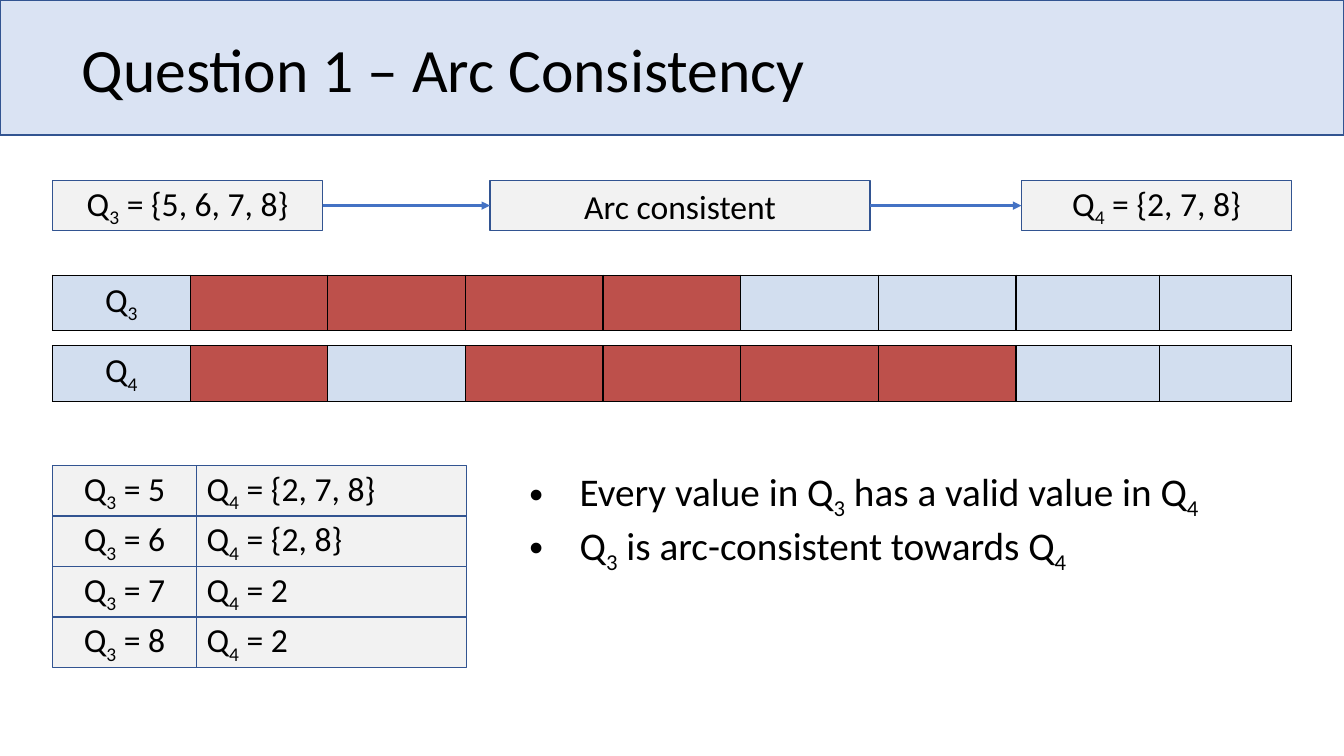
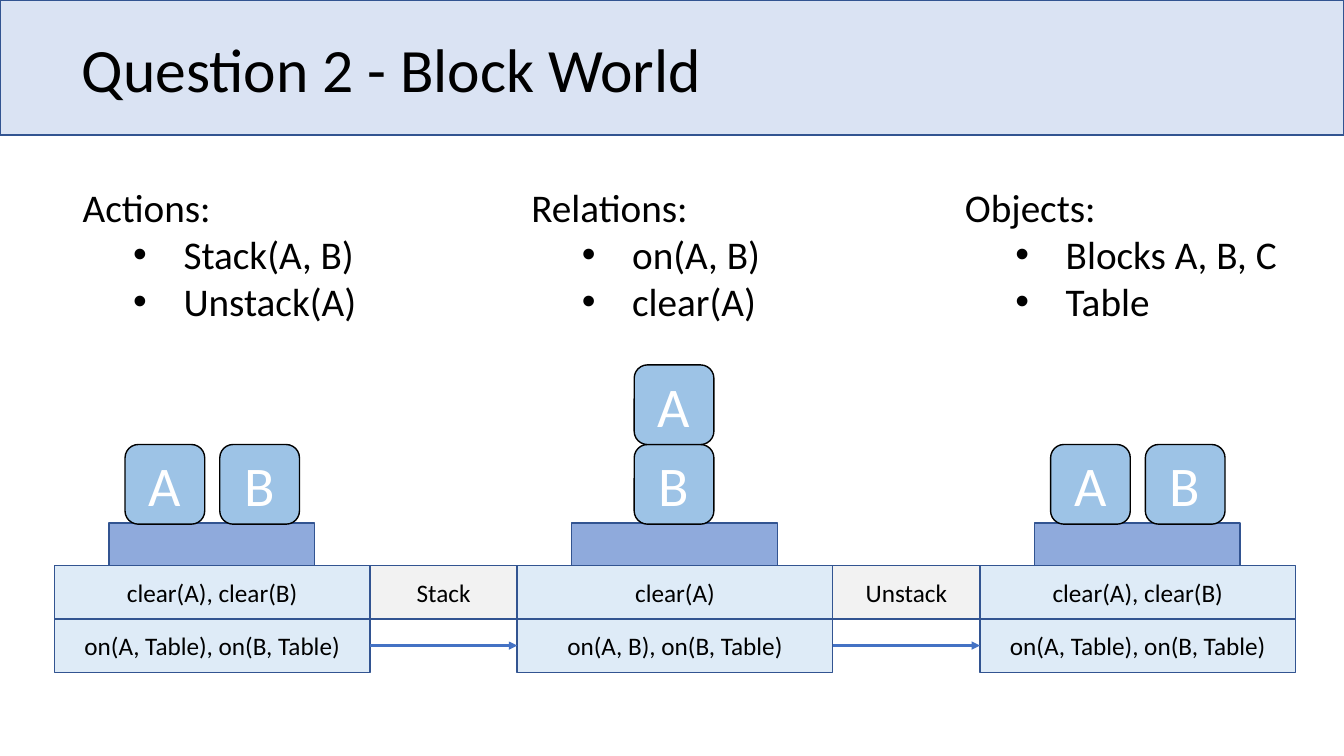
from lxml import etree
from pptx import Presentation
from pptx.dml.color import RGBColor
from pptx.enum.shapes import MSO_CONNECTOR, MSO_SHAPE
from pptx.enum.text import MSO_ANCHOR as ANCHOR, MSO_AUTO_SIZE, PP_ALIGN as ALIGN
from pptx.oxml.ns import qn
from pptx.util import Pt

SCALE = 9144
WIDTH, HEIGHT = 1333, 750
FONT = "Calibri"
BLACK = RGBColor(0x00, 0x00, 0x00)
WHITE = RGBColor(0xFF, 0xFF, 0xFF)
BAND = RGBColor(0xDA, 0xE3, 0xF3)
OUTLINE = RGBColor(0x32, 0x54, 0x91)
ARROW = RGBColor(0x44, 0x72, 0xC4)
GRAY = RGBColor(0xF2, 0xF2, 0xF2)
ALLOWED = RGBColor(0xD2, 0xDE, 0xEF)
REMOVED = RGBColor(0xBD, 0x50, 0x4B)
FACT = RGBColor(0xDE, 0xEB, 0xF7)
TABLE_TOP = RGBColor(0x8F, 0xAA, 0xDC)
BLOCK = RGBColor(0x9D, 0xC3, 0xE6)


def px(n):
    return round(n * SCALE)


def add_xml(parent, tag, **attrs):
    return etree.SubElement(parent, qn(tag), **attrs)


def write(p, text, size=24, color=BLACK, align=ALIGN.LEFT, spacing=1.0):
    """Each underscore lowers the character that follows it."""
    p.alignment = align
    p.line_spacing = spacing
    p.space_before = p.space_after = Pt(0)
    first, *rest = text.split("_")
    pieces = [(first, False)]
    for part in rest:
        pieces += [(part[0], True), (part[1:], False)]
    for piece, lowered in pieces:
        if not piece:
            continue
        r = p.add_run()
        r.text = piece
        r.font.name = FONT
        r.font.size = Pt(size)
        r.font.bold = False
        r.font.color.rgb = color
        if lowered:
            r.font._element.set("baseline", "-25000")


class Deck:
    def __init__(self):
        self.prs = Presentation()
        self.prs.slide_width, self.prs.slide_height = px(WIDTH), px(HEIGHT)
        self.slide = None

    def new_slide(self, title, layout):
        self.slide = self.prs.slides.add_slide(self.prs.slide_layouts[layout])
        band = self.box(0, 0, WIDTH, 134, fill=BAND)
        self.slide.shapes._spTree.insert(2, band._element)
        tf = self.place(self.slide.shapes.title, 71, -1, 1150, 145, ANCHOR.MIDDLE)
        write(tf.paragraphs[0], title, size=44, spacing=0.9)
        self.bodies = [s for s in self.slide.placeholders if s.placeholder_format.idx]

    def place(self, sp, x, y, w, h, anchor):
        sp.left, sp.top, sp.width, sp.height = px(x), px(y), px(w), px(h)
        tf = sp.text_frame
        tf.word_wrap = True
        tf.auto_size = MSO_AUTO_SIZE.NONE
        tf.vertical_anchor = anchor
        return tf

    def bullets(self, x, y, w, h, items, heading=None):
        tf = self.place(self.bodies.pop(0), x, y, w, h, ANCHOR.TOP)
        lines = ([heading] if heading else []) + items
        for i, line in enumerate(lines):
            p = tf.add_paragraph() if i else tf.paragraphs[0]
            write(p, line, size=28)
            pPr = p._p.get_or_add_pPr()
            if line == heading:
                pPr.set("marL", "0")
                pPr.set("indent", "0")
                add_xml(pPr, "a:buNone")
            else:
                p.level = 1 if heading else 0
                pPr.set("marL", str(px(100 if heading else 50)))
                pPr.set("indent", str(px(-50)))
                add_xml(pPr, "a:buFont", typeface="Arial")
                add_xml(pPr, "a:buChar", char="•")

    def box(self, x, y, w, h, text="", fill=GRAY, line=OUTLINE,
            shape=MSO_SHAPE.RECTANGLE, align=ALIGN.CENTER, **style):
        sp = self.slide.shapes.add_shape(shape, px(x), px(y), px(w), px(h))
        sp.shadow.inherit = False
        sp.fill.solid()
        sp.fill.fore_color.rgb = fill
        sp.line.color.rgb = line
        sp.line.width = Pt(1)
        tf = sp.text_frame
        tf.word_wrap = True
        tf.vertical_anchor = ANCHOR.MIDDLE
        if text:
            write(tf.paragraphs[0], text, align=align, **style)
        return sp

    def arrow(self, start, end):
        c = self.slide.shapes.add_connector(MSO_CONNECTOR.STRAIGHT, 0, 0, 0, 0)
        c.begin_connect(start, 3)
        c.end_connect(end, 1)
        c.line.color.rgb = ARROW
        c.line.width = Pt(2)
        add_xml(c.line._get_or_add_ln(), "a:tailEnd", type="triangle")
        add_xml(c._element.spPr, "a:effectLst")

    def domain_row(self, x, y, widths, h, label, removed):
        frame = self.slide.shapes.add_table(1, len(widths), px(x), px(y),
                                            px(sum(widths)), px(h))
        table = frame.table
        table.first_row = table.horz_banding = False
        for i, w in enumerate(widths):
            table.columns[i].width = px(w)
            cell = table.cell(0, i)
            cell.vertical_anchor = ANCHOR.MIDDLE
            tcPr = cell._tc.get_or_add_tcPr()
            for side in ("a:lnL", "a:lnR", "a:lnT", "a:lnB"):
                ln = add_xml(tcPr, side, w=str(Pt(1)))
                fill = add_xml(ln, "a:solidFill")
                add_xml(fill, "a:srgbClr", val=str(BLACK))
            cell.fill.solid()
            cell.fill.fore_color.rgb = REMOVED if i in removed else ALLOWED
            if i == 0:
                write(cell.text_frame.paragraphs[0], label, align=ALIGN.CENTER)

    def block_state(self, x, blocks, facts):
        self.box(x + 54, 519, 204, 42, fill=TABLE_TOP)
        for letter, dx, level in blocks:
            self.box(x + dx, 441 - 79 * level, 79, 79, letter, fill=BLOCK,
                     line=BLACK, shape=MSO_SHAPE.ROUNDED_RECTANGLE,
                     size=40, color=WHITE)
        return [self.box(x, 561 + 53 * i, 313, 53, fact, fill=FACT, size=18)
                for i, fact in enumerate(facts)][-1]


def arc_consistency(deck):
    deck.new_slide("Question 1 – Arc Consistency", layout=1)
    source = deck.box(52, 179, 268, 50, "Q_3 = {5, 6, 7, 8}")
    verdict = deck.box(486, 179, 377, 50, "Arc consistent")
    target = deck.box(1013, 179, 268, 50, "Q_4 = {2, 7, 8}")
    deck.arrow(source, verdict)
    deck.arrow(verdict, target)

    widths = [(1229 - 142 - 131) / 7] * 7 + [142, 131]
    rows = [("Q_3", {1, 2, 3, 4}), ("Q_4", {1, 3, 4, 5, 6})]
    for i, (label, removed) in enumerate(rows):
        deck.domain_row(52, 273 + 70 * i, widths, 55, label, removed)

    supports = [("5", "{2, 7, 8}"), ("6", "{2, 8}"), ("7", "2"), ("8", "2")]
    for i, (value, support) in enumerate(supports):
        y = 462 + 50 * i
        deck.box(52, y, 143, 50, f"Q_3 = {value}")
        deck.box(195, y, 268, 50, f"Q_4 = {support}", align=ALIGN.LEFT)

    deck.bullets(515, 459, 711, 104, ["Every value in Q_3 has a valid value in Q_4",
                                      "Q_3 is arc-consistent towards Q_4"])


def block_world(deck):
    deck.new_slide("Question 2 - Block World", layout=4)
    lists = [(72, "Actions:", ["Stack(A, B)", "Unstack(A)"]),
             (517, "Relations:", ["on(A, B)", "clear(A)"]),
             (947, "Objects:", ["Blocks A, B, C", "Table"])]
    for x, heading, items in lists:
        deck.bullets(x, 177, 337, 151, items, heading)
    for spare in deck.bodies:
        spare._element.getparent().remove(spare._element)

    apart = [("B", 164, 0), ("A", 70, 0)]
    stacked = [("B", 116, 0), ("A", 116, 1)]
    on_table = ["clear(A), clear(B)", "on(A, Table), on(B, Table)"]
    states = [(apart, on_table),
              (stacked, ["clear(A)", "on(A, B), on(B, Table)"]),
              (apart, on_table)]
    ends = [deck.block_state(54 + 459 * i, *state) for i, state in enumerate(states)]
    for i, action in enumerate(["Stack", "Unstack"]):
        deck.box(367 + 459 * i, 561, 146, 53, action, size=18)
        deck.arrow(ends[i], ends[i + 1])


def main():
    deck = Deck()
    arc_consistency(deck)
    block_world(deck)
    deck.prs.save("out.pptx")


if __name__ == "__main__":
    main()
